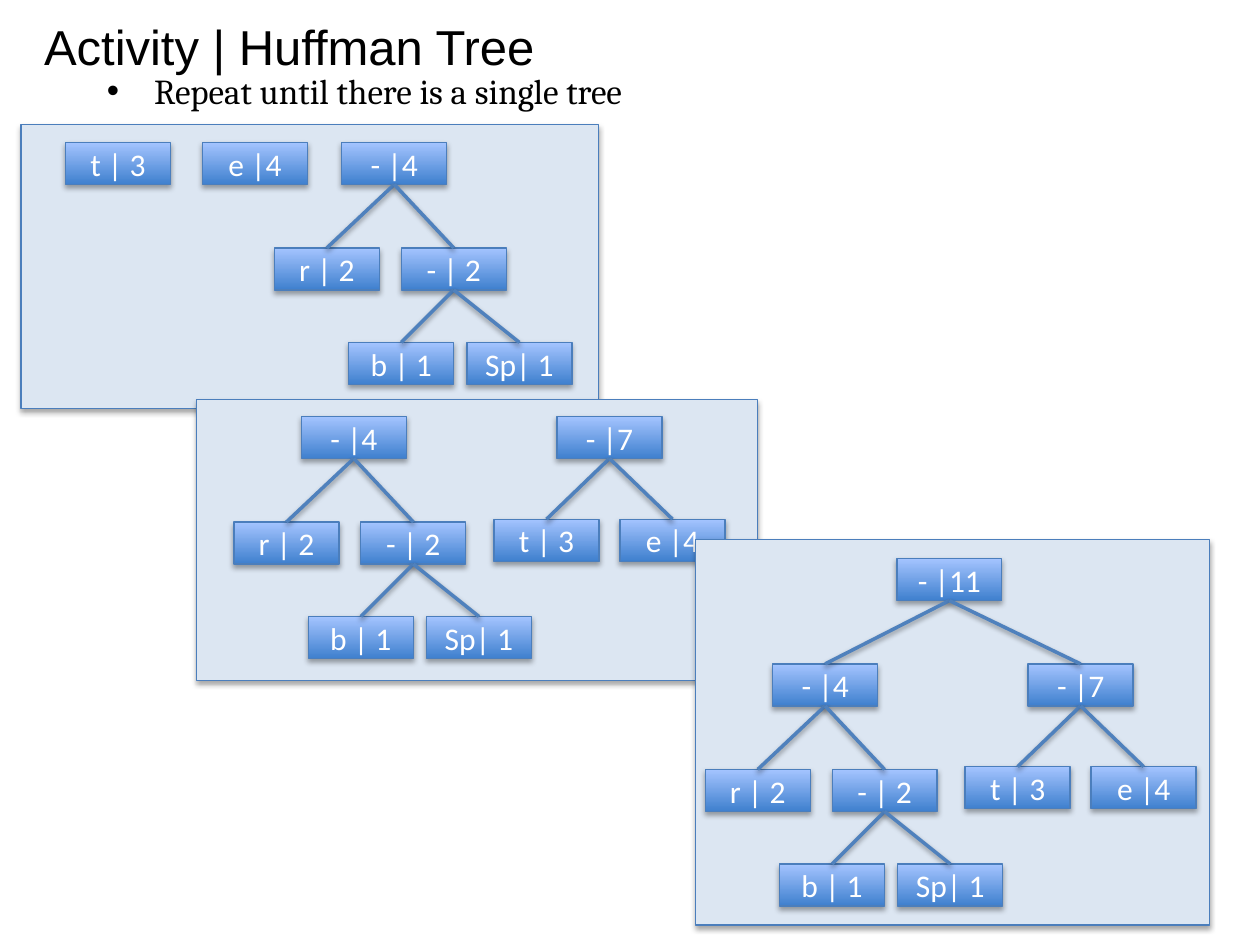
from dataclasses import dataclass

import pptx
import pptx.dml.color
import pptx.enum.shapes
import pptx.enum.text
import pptx.oxml.ns
import pptx.util
from lxml import etree

Pt = pptx.util.Pt
qn = pptx.oxml.ns.qn
COLORS = {
    "text": "000000", "label": "FFFFFF", "panel": "DCE6F2", "border": "4B7EBC",
    "branch": "4F81BD", "node_low": "3F80CE", "node_high": "A4C4FF",
    "shadow": "000000",
}
NODE_WIDTH, NODE_HEIGHT = 60, 24


@dataclass(frozen=True)
class Node:
    """A tree node, with its offset in points from its parent."""
    label: str
    dx: float = 0
    dy: float = 0
    children: tuple["Node", ...] = ()


@dataclass(frozen=True)
class Root:
    """A tree with the place of its top node in points."""
    tree: Node
    left: float
    top: float


@dataclass(frozen=True)
class Panel:
    """One step of the algorithm: a backdrop and its trees."""
    left: float
    top: float
    width: float
    height: float
    roots: tuple[Root, ...]


PAIR = Node("- | 2", 34, 60.3, (Node("b | 1", -30, 54), Node("Sp| 1", 37.5, 54)))
FOUR_PARTS = (Node("r | 2", -38.5, 60.3), PAIR)
SEVEN_PARTS = (Node("t | 3", -36, 58.7), Node("e |4", 36, 58.7))
FOUR = Node("- |4", children=FOUR_PARTS)
SEVEN = Node("- |7", children=SEVEN_PARTS)
ELEVEN = Node("- |11", children=(
    Node("- |4", -71, 60.2, FOUR_PARTS), Node("- |7", 75, 60.2, SEVEN_PARTS)))

PANELS = (
    Panel(12, 71.3, 330, 162, (
        Root(Node("t | 3"), 37.4, 81.4), Root(Node("e |4"), 115.7, 81.4),
        Root(FOUR, 195.3, 81.4))),
    Panel(112.3, 228.2, 320.4, 160.8, (
        Root(FOUR, 172.2, 238), Root(SEVEN, 318.3, 238))),
    Panel(397.4, 308.2, 293.8, 220.4, (Root(ELEVEN, 512.5, 319.2),)),
)


def color(name: str) -> pptx.dml.color.RGBColor:
    """Return a palette colour."""
    return pptx.dml.color.RGBColor.from_string(COLORS[name])


def style_text(para, font_name: str, size: float, color_name: str) -> None:
    """Format all runs of a paragraph."""
    for span in para.runs:
        span.font.name = font_name
        span.font.size = Pt(size)
        span.font.color.rgb = color(color_name)


def add_shadow(shape, opacity: int, distance: float) -> None:
    """Give a shape or connector a soft shadow straight below it."""
    effects = etree.SubElement(shape._element.spPr, qn("a:effectLst"))
    outer = etree.SubElement(
        effects, qn("a:outerShdw"), blurRad=str(Pt(3.1)), dist=str(Pt(distance)),
        dir="5400000", rotWithShape="0")
    tint = etree.SubElement(outer, qn("a:srgbClr"), val=COLORS["shadow"])
    etree.SubElement(tint, qn("a:alpha"), val=str(opacity * 1000))


def add_box(page, left: float, top: float, width: float, height: float):
    """Add a bordered rectangle."""
    box = page.shapes.add_shape(
        pptx.enum.shapes.MSO_SHAPE.RECTANGLE,
        Pt(left), Pt(top), Pt(width), Pt(height))
    box.line.color.rgb = color("border")
    box.line.width = Pt(0.75)
    return box


def add_branch(page, parent, child) -> None:
    """Join the bottom of a parent to the top of its child."""
    branch = page.shapes.add_connector(
        pptx.enum.shapes.MSO_CONNECTOR.STRAIGHT, 0, 0, 0, 0)
    branch.begin_connect(parent, 2)
    branch.end_connect(child, 0)
    branch.line.color.rgb = color("branch")
    branch.line.width = Pt(2)
    add_shadow(branch, 38, 1.6)


def add_tree(page, node: Node, left: float, top: float):
    """Draw a node and everything below it, and return the node's box."""
    box = add_box(page, left, top, NODE_WIDTH, NODE_HEIGHT)
    box.fill.gradient()
    box.fill.gradient_angle = 90
    for stop, position, name in zip(
            box.fill.gradient_stops, (0, 1), ("node_low", "node_high")):
        stop.position = position
        stop.color.rgb = color(name)
    add_shadow(box, 35, 1.8)
    frame = box.text_frame
    frame.text = node.label
    frame.vertical_anchor = pptx.enum.text.MSO_ANCHOR.MIDDLE
    frame.paragraphs[0].alignment = pptx.enum.text.PP_ALIGN.CENTER
    style_text(frame.paragraphs[0], "Calibri", 18, "label")
    for child in node.children:
        child_box = add_tree(page, child, left + child.dx, top + child.dy)
        add_branch(page, box, child_box)
    return box


def add_panel(page, panel: Panel) -> None:
    """Draw a backdrop with its trees."""
    box = add_box(page, panel.left, panel.top, panel.width, panel.height)
    box.fill.solid()
    box.fill.fore_color.rgb = color("panel")
    add_shadow(box, 35, 1.8)
    for root in panel.roots:
        add_tree(page, root.tree, root.left, root.top)


def set_title(page, text: str) -> None:
    """Place and format the title."""
    title = page.shapes.title
    title.left, title.top, title.width, title.height = map(Pt, (18, 5.8, 503.3, 41))
    frame = title.text_frame
    frame.text = text
    frame.auto_size = pptx.enum.text.MSO_AUTO_SIZE.NONE
    frame.vertical_anchor = pptx.enum.text.MSO_ANCHOR.TOP
    frame.paragraphs[0].alignment = pptx.enum.text.PP_ALIGN.LEFT
    style_text(frame.paragraphs[0], "Arial", 28, "text")


def add_bullet(page, text: str) -> None:
    """Add the bulleted instruction below the title."""
    box = page.shapes.add_textbox(Pt(18), Pt(36), Pt(660), Pt(80))
    frame = box.text_frame
    frame.word_wrap = True
    frame.text = text
    para = frame.paragraphs[0]
    para.level = 1
    style_text(para, "Cambria", 20, "text")
    properties = para._p.get_or_add_pPr()
    properties.set("marL", str(Pt(63)))
    properties.set("indent", str(-Pt(27)))
    etree.SubElement(properties, qn("a:buFont"), typeface="Arial")
    etree.SubElement(properties, qn("a:buChar"), char="•")


def main() -> None:
    """Build and save the slide."""
    deck = pptx.Presentation()
    deck.slide_width, deck.slide_height = Pt(720), Pt(540)
    page = deck.slides.add_slide(deck.slide_layouts.get_by_name("Title Only"))
    set_title(page, "Activity | Huffman Tree")
    add_bullet(page, "Repeat until there is a single tree")
    for panel in PANELS:
        add_panel(page, panel)
    deck.save("out.pptx")


main()
